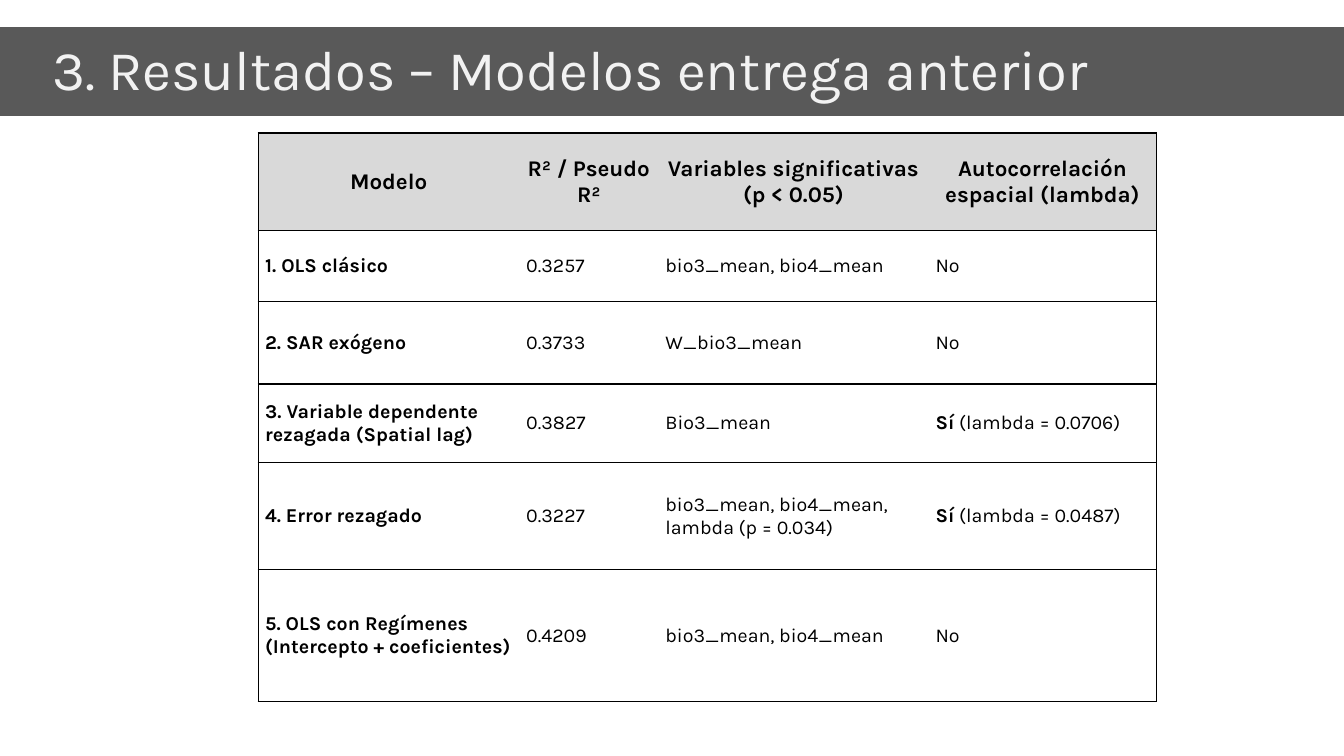
from lxml.etree import SubElement
from pptx import Presentation
from pptx.dml.color import RGBColor
from pptx.enum.shapes import MSO_SHAPE
from pptx.enum.text import MSO_ANCHOR, PP_ALIGN
from pptx.oxml.ns import qn
from pptx.util import Inches, Pt

BLACK = RGBColor(0x00, 0x00, 0x00)
WHITE = RGBColor(0xFF, 0xFF, 0xFF)
BAND_GREY = RGBColor(0x59, 0x59, 0x59)
TITLE_GREY = RGBColor(0xF2, 0xF2, 0xF2)
HEADER_GREY = RGBColor(0xD9, 0xD9, 0xD9)

COLUMN_WIDTHS = [2.59, 1.38, 2.68, 2.26]
ROW_HEIGHTS = [0.97, 0.7, 0.82, 0.78, 1.06, 1.31]
HEADERS = ["Modelo", "R² / Pseudo R²", "Variables significativas (p < 0.05)",
           "Autocorrelación espacial (lambda)"]
# Model, R², significant variables, bold answer, plain answer
MODELS = [
    ("1. OLS clásico", "0.3257", "bio3_mean, bio4_mean", "", "No"),
    ("2. SAR exógeno", "0.3733", "W_bio3_mean", "", "No"),
    ("3. Variable dependente rezagada (Spatial lag)", "0.3827", "Bio3_mean",
     "Sí", " (lambda = 0.0706)"),
    ("4. Error rezagado", "0.3227", "bio3_mean, bio4_mean, lambda (p = 0.034)",
     "Sí", " (lambda = 0.0487)"),
    ("5. OLS con Regímenes (Intercepto + coeficientes)", "0.4209",
     "bio3_mean, bio4_mean", "", "No"),
]


class SlideBuilder:
    font = "Karla"

    def __init__(self, page):
        self.page = page

    def add_span(self, para, text, size, color=BLACK, bold=False):
        span = para.add_run()
        span.text = text
        span.font.name = self.font
        span.font.size = Pt(size)
        span.font.bold = bold
        span.font.color.rgb = color

    def band(self, left, top, width, height, color):
        shape = self.page.shapes.add_shape(
            MSO_SHAPE.RECTANGLE, Inches(left), Inches(top), Inches(width), Inches(height))
        shape.shadow.inherit = False
        shape.fill.solid()
        shape.fill.fore_color.rgb = color
        shape.line.fill.background()

    def title(self, text, left, top, width, height):
        box = self.page.shapes.add_textbox(
            Inches(left), Inches(top), Inches(width), Inches(height))
        frame = box.text_frame
        frame.word_wrap = True
        frame.vertical_anchor = MSO_ANCHOR.MIDDLE
        para = frame.paragraphs[0]
        para.line_spacing = 0.9
        self.add_span(para, text, 40, TITLE_GREY)

    def table(self, left, top, widths, heights):
        table = self.page.shapes.add_table(
            len(heights), len(widths), Inches(left), Inches(top),
            Inches(sum(widths)), Inches(sum(heights))).table
        table.horz_banding = False
        for column, width in zip(table.columns, widths):
            column.width = Inches(width)
        for row, height in zip(table.rows, heights):
            row.height = Inches(height)
        return table

    def borders(self, cell, visible_sides):
        """Draw a 1 pt black line on the visible sides and none on the others."""
        properties = cell._tc.get_or_add_tcPr()
        for side in "LRTB":
            line = SubElement(properties, qn(f"a:ln{side}"), w=str(Pt(1)))
            if side in visible_sides:
                fill = SubElement(line, qn("a:solidFill"))
                SubElement(fill, qn("a:srgbClr"), val=str(BLACK))
            else:
                SubElement(line, qn("a:noFill"))

    def cell(self, cell, spans, size, fill, align, visible_sides):
        self.borders(cell, visible_sides)
        cell.fill.solid()
        cell.fill.fore_color.rgb = fill
        cell.vertical_anchor = MSO_ANCHOR.MIDDLE
        cell.margin_left = cell.margin_right = Inches(0.07)
        cell.margin_top = cell.margin_bottom = Inches(0.04)
        para = cell.text_frame.paragraphs[0]
        para.alignment = align
        for text, bold in spans:
            if text:
                self.add_span(para, text, size, bold=bold)


def main():
    deck = Presentation()
    deck.slide_width, deck.slide_height = Inches(13.33), Inches(7.5)
    builder = SlideBuilder(deck.slides.add_slide(deck.slide_layouts[6]))

    builder.band(0, 0.27, 13.33, 0.88, BAND_GREY)
    table = builder.table(2.56, 1.32, COLUMN_WIDTHS, ROW_HEIGHTS)
    rows = [[[(header, True)] for header in HEADERS]]
    for model, fit, variables, answer, detail in MODELS:
        rows.append([[(model, True)], [(fit, False)], [(variables, False)],
                     [(answer, True), (detail, False)]])

    outer_sides = {0: "LTB", len(HEADERS) - 1: "RTB"}
    for row_index, row in enumerate(rows):
        if row_index == 0:
            style = (16, HEADER_GREY, PP_ALIGN.CENTER)
        else:
            style = (14, WHITE, PP_ALIGN.LEFT)
        for column_index, spans in enumerate(row):
            builder.cell(table.cell(row_index, column_index), spans, *style,
                         outer_sides.get(column_index, "TB"))

    builder.title("3. Resultados – Modelos entrega anterior", 0.42, 0.3, 12.9, 0.83)
    deck.save("out.pptx")


if __name__ == "__main__":
    main()
